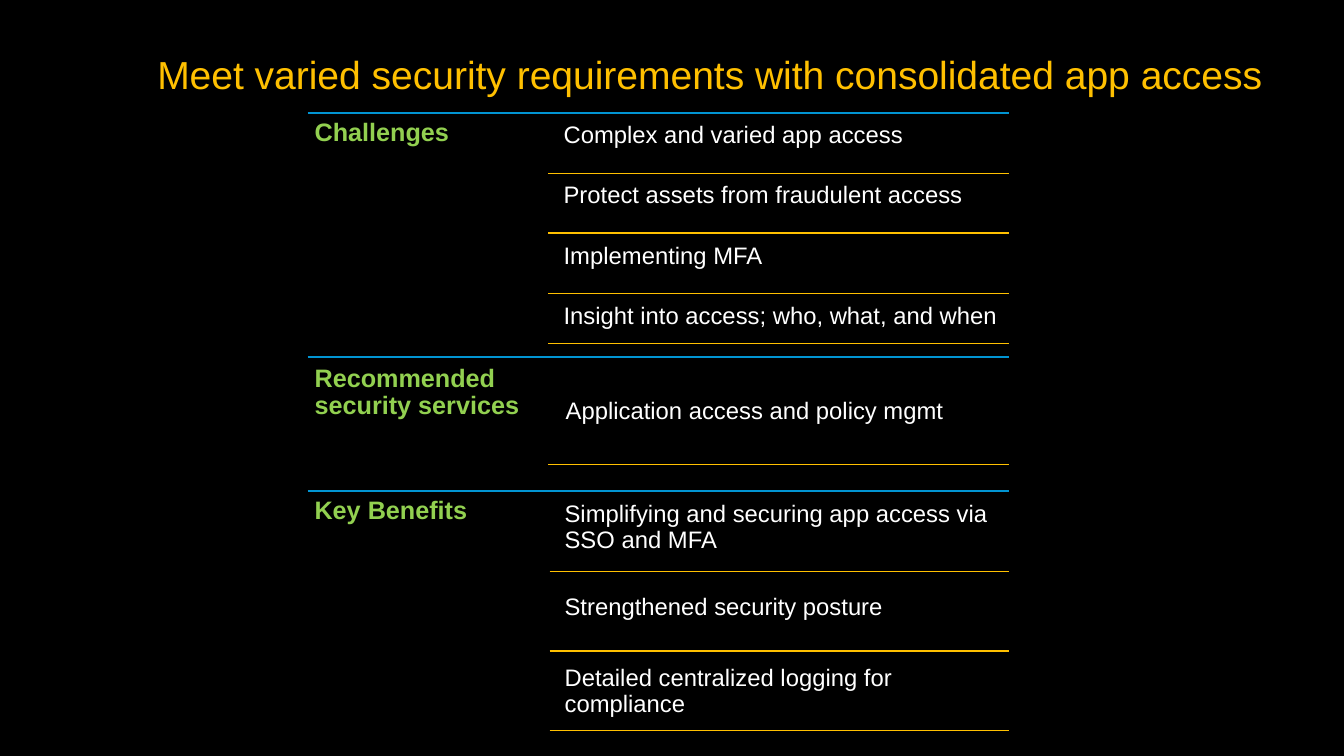
from dataclasses import dataclass

from pptx import Presentation
from pptx import util as u
from pptx.dml.color import RGBColor
from pptx.enum import shapes, text
from pptx.oxml.ns import qn
from lxml import etree

GOLD, BLUE, GREEN, WHITE = "FFC000", "0194D2", "92D050", "FFFFFF"
LEFT, RIGHT = 3.05, 10.01


@dataclass
class Item:
    words: str
    top: float
    rule: float


@dataclass
class Section:
    name: str
    top: float
    label: float
    width: float
    height: float
    left: float
    start: float
    depth: float
    items: list[Item]


STEP = 0.6
TASKS = ["Complex and varied app access",
         "Protect assets from fraudulent access",
         "Implementing MFA",
         "Insight into access; who, what, and when"]
RULES = [1.72, 2.31, 2.91, 3.41]
GAINS = ["Simplifying and securing app access via SSO and MFA",
         "Strengthened security posture",
         "Detailed centralized logging for compliance"]
TOPS = [4.91, 5.83, 6.54]

SECTIONS = [
    Section("Challenges", 1.12, 1.12, 2.39, 2.42, 5.52, 5.44, 0.57,
            [Item(task, 1.15 + STEP * i, rule)
             for i, (task, rule) in enumerate(zip(TASKS, RULES))]),
    Section("Recommended security services", 3.54, 3.56, 2.38, 1.31,
            5.54, 5.44, 1.09,
            [Item("Application access and policy mgmt", 3.89, 4.61)]),
    Section("Key Benefits", 4.87, 4.87, 2.4, 2.42, 5.53, 5.45, 0.76,
            [Item(gain, top, 5.67 + 0.79 * i)
             for i, (gain, top) in enumerate(zip(GAINS, TOPS))]),
]


def paint(code: str) -> RGBColor:
    return RGBColor.from_string(code)


def write(slide, words: str, left: float, top: float, width: float,
          height: float, *, size: float = 17, color: str = WHITE,
          bold: bool = False, inset: float = 0.07) -> None:
    box = slide.shapes.add_textbox(*map(u.Inches, (left, top, width, height)))
    frame = box.text_frame
    frame.word_wrap = True
    frame.vertical_anchor = text.MSO_ANCHOR.TOP
    frame.margin_left = frame.margin_right = u.Inches(inset)
    frame.margin_top = frame.margin_bottom = u.Inches(inset)
    para = frame.paragraphs[0]
    para.line_spacing = 0.9
    run = para.add_run()
    run.text = words
    run.font.name = "Arial"
    run.font.size = u.Pt(size)
    run.font.bold = bold
    run.font.color.rgb = paint(color)


def rule(slide, left: float, top: float, color: str) -> None:
    line = slide.shapes.add_connector(
        shapes.MSO_CONNECTOR.STRAIGHT,
        *map(u.Inches, (left, top, RIGHT, top)))
    line.line.color.rgb = paint(color)
    line.line.width = u.Pt(1)
    etree.SubElement(line.element.spPr, qn("a:effectLst"))


def draw(slide, part: Section) -> None:
    rule(slide, LEFT, part.top, BLUE)
    write(slide, part.name, LEFT, part.label, part.width, part.height,
          size=18, color=GREEN, bold=True)
    for item in part.items:
        write(slide, item.words, part.left, item.top, 4.48, part.depth)
        rule(slide, part.start, item.rule, GOLD)


def main() -> None:
    deck = Presentation()
    deck.slide_width, deck.slide_height = u.Inches(13.33), u.Inches(7.5)
    slide = deck.slides.add_slide(deck.slide_layouts[6])
    fill = slide.background.fill
    fill.solid()
    fill.fore_color.rgb = paint("000000")
    write(slide, "Meet varied security requirements with consolidated app access",
          1.39, 0.38, 12.8, 1, size=27.9, color=GOLD, inset=0.17)
    for part in SECTIONS:
        draw(slide, part)
    deck.save("out.pptx")


if __name__ == "__main__":
    main()
